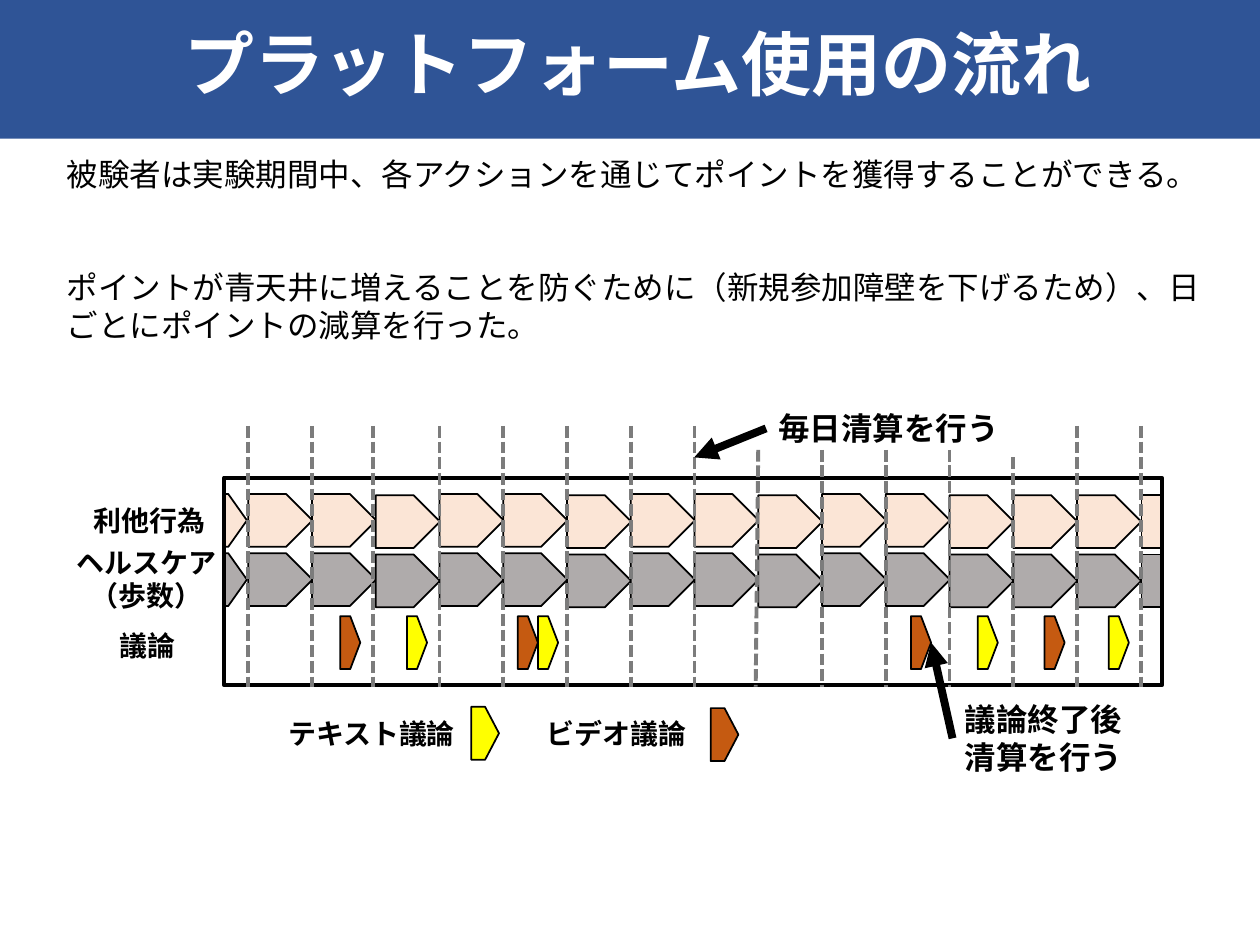
import pptx
import pptx.util
import pptx.dml.color
import pptx.enum.shapes
import pptx.enum.text
import pptx.enum.dml
import pptx.oxml.ns
from dataclasses import dataclass
from lxml import etree

Inches = pptx.util.Inches
Pt = pptx.util.Pt
Kind = pptx.enum.shapes.MSO_SHAPE
Align = pptx.enum.text.PP_ALIGN

COLORS = {
    "band": "2F5496", "white": "FFFFFF", "black": "000000", "dash": "7C7C7C",
    "help": "FBE5D6", "health": "AFABAB", "video": "C55A11", "text": "FFFF00",
}
FONT = "Calibri"
DAYS = 14
FIRST, STEP = 1.97, 0.506
TALL = 0.42


@dataclass
class Label:
    lines: list[str]
    left: float
    top: float
    width: float
    height: float
    size: int = 16
    bold: bool = True
    align: Align = Align.LEFT
    gap: int = 0


@dataclass
class Plate:
    left: float
    top: float
    width: float
    color: str
    point: float = 0.5


@dataclass
class Line:
    start: tuple[float, float]
    end: tuple[float, float]
    color: str
    width: float
    arrow: bool = False


def tint(name: str) -> pptx.dml.color.RGBColor:
    return pptx.dml.color.RGBColor.from_string(COLORS[name])


def write(frame, label: Label, color: str = "black") -> None:
    frame.word_wrap = True
    for i, words in enumerate(label.lines):
        para = frame.paragraphs[0] if i == 0 else frame.add_paragraph()
        para.alignment = label.align
        if i and label.gap:
            para.space_before = Pt(label.gap)
        run = para.add_run()
        run.text = words
        run.font.name = FONT
        run.font.size = Pt(label.size)
        run.font.bold = label.bold
        run.font.color.rgb = tint(color)


def add_label(slide, label: Label) -> None:
    box = slide.shapes.add_textbox(Inches(label.left), Inches(label.top),
                                   Inches(label.width), Inches(label.height))
    write(box.text_frame, label)


def add_plate(slide, plate: Plate) -> None:
    shape = slide.shapes.add_shape(Kind.PENTAGON, Inches(plate.left), Inches(plate.top),
                                   Inches(plate.width), Inches(TALL))
    shape.adjustments[0] = plate.point
    shape.shadow.inherit = False
    shape.fill.solid()
    shape.fill.fore_color.rgb = tint(plate.color)
    shape.line.color.rgb = tint("black")
    shape.line.width = Pt(1)


def add_line(slide, line: Line) -> None:
    link = slide.shapes.add_connector(
        pptx.enum.shapes.MSO_CONNECTOR.STRAIGHT,
        *(Inches(v) for v in line.start + line.end))
    link.line.color.rgb = tint(line.color)
    link.line.width = Pt(line.width)
    qn = pptx.oxml.ns.qn
    if line.arrow:
        etree.SubElement(link.line._get_or_add_ln(), qn("a:tailEnd"), type="triangle")
    else:
        link.line.dash_style = pptx.enum.dml.MSO_LINE.SQUARE_DOT
    etree.SubElement(link._element.spPr, qn("a:effectLst"))


def add_title(slide) -> None:
    label = Label(["プラットフォーム使用の流れ"], -0.45, -0.11, 11.02, 1.21, 40,
                  align=Align.CENTER)
    band = slide.shapes.add_shape(Kind.RECTANGLE, Inches(label.left), Inches(label.top),
                                  Inches(label.width), Inches(label.height))
    band.shadow.inherit = False
    band.fill.solid()
    band.fill.fore_color.rgb = tint("band")
    band.line.fill.background()
    band.text_frame.vertical_anchor = pptx.enum.text.MSO_ANCHOR.MIDDLE
    write(band.text_frame, label, "white")


def add_frame(slide) -> None:
    frame = slide.shapes.add_shape(Kind.RECTANGLE, Inches(1.78), Inches(3.79),
                                   Inches(7.44), Inches(1.65))
    frame.shadow.inherit = False
    frame.fill.background()
    frame.line.color.rgb = tint("black")
    frame.line.width = Pt(2.25)


def add_row(slide, top: float, color: str) -> None:
    """One plate a day, with a cut plate at each end."""
    add_plate(slide, Plate(1.78, top, 0.18, color, 0.825))
    add_plate(slide, Plate(9.06, top + 0.01, 0.16, color, 0))
    for day in range(DAYS):
        drop = 0.01 if day % 3 == 2 or day >= 12 else 0
        add_plate(slide, Plate(FIRST + day * STEP, top + drop, 0.51, color))


def add_days(slide) -> None:
    """Dashed day borders, shorter below the upper note."""
    tops = {8: 3.57, 9: 3.57, 10: 3.57, 11: 3.57, 12: 3.63}
    shift = {2: -0.02}
    for day in range(DAYS + 1):
        x = FIRST + day * STEP + shift.get(day, 0)
        foot = x - 0.02 if day == 8 else x
        add_line(slide, Line((x, tops.get(day, 3.38)), (foot, 5.45), "dash", 2.25))


LABELS = [
    Label(["被験者は実験期間中、各アクションを通じてポイントを獲得することができる。",
           "ポイントが青天井に増えることを防ぐために（新規参加障壁を下げるため）、"
           "日ごとにポイントの減算を行った。"],
          0.43, 1.18, 9.25, 1.62, 18, bold=False, gap=43),
    Label(["利他行為"], 0.55, 3.95, 1.27, 0.37, align=Align.CENTER),
    Label(["ヘルスケア（歩数）"], 0.43, 4.28, 1.47, 0.64, align=Align.CENTER),
    Label(["議論"], 0.85, 4.94, 0.7, 0.37),
    Label(["毎日清算を行う"], 6.08, 3.2, 2.24, 0.4, 18),
    Label(["テキスト議論"], 2.19, 5.64, 1.62, 0.37),
    Label(["ビデオ議論"], 4.24, 5.64, 1.39, 0.37),
    Label(["議論終了後", "清算を行う"], 7.56, 5.51, 1.52, 0.71, 18),
]
TALKS = {
    "video": [2.7, 4.11, 7.23, 8.29],
    "text": [3.23, 4.27, 7.76, 8.8],
}
KEYS = [Plate(3.74, 5.61, 0.22, "text"), Plate(5.64, 5.62, 0.22, "video")]
ARROWS = [
    Line((6.08, 3.4), (5.51, 3.63), "black", 4.5, arrow=True),
    Line((7.56, 5.86), (7.39, 5.1), "black", 4.5, arrow=True),
]


def main() -> None:
    deck = pptx.Presentation()
    deck.slide_width, deck.slide_height = Inches(10), Inches(7.5)
    slide = deck.slides.add_slide(deck.slide_layouts[6])

    add_title(slide)
    # Daily rows
    add_row(slide, 3.92, "help")
    add_row(slide, 4.39, "health")
    # Talks and their key
    for color, lefts in TALKS.items():
        for left in lefts:
            add_plate(slide, Plate(left, 4.89, 0.16, color))
    for key in KEYS:
        add_plate(slide, key)
    # Frame, words and lines
    add_frame(slide)
    for label in LABELS:
        add_label(slide, label)
    add_days(slide)
    for arrow in ARROWS:
        add_line(slide, arrow)

    deck.save("out.pptx")


if __name__ == "__main__":
    main()
